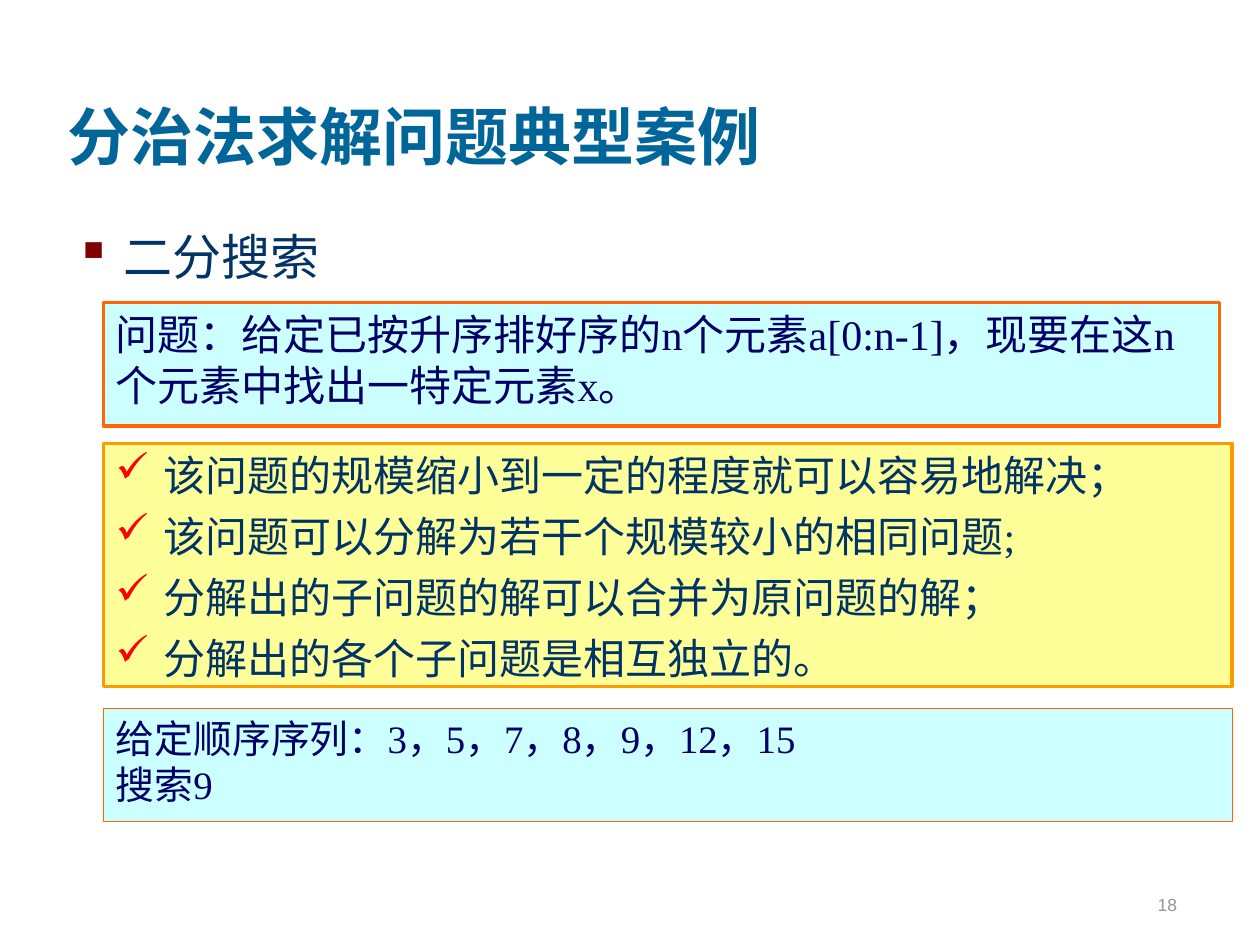
from lxml.etree import SubElement
from pptx import Presentation
from pptx.dml.color import RGBColor
from pptx.enum.shapes import MSO_SHAPE as Shape
from pptx.enum.text import MSO_ANCHOR as Anchor, PP_ALIGN as Align
from pptx.oxml.ns import qn
from pptx.util import Inches, Pt

COLORS = {
    "title": "006699", "body": "003366", "navy": "000066", "number": "969696",
    "marker": "800000", "check": "FF0000", "cyan": "CCFFFF", "yellow": "FFFF99",
    "orange": "FF6600", "amber": "FF9900",
}
SERIF = "Times New Roman"

presentation = Presentation()
presentation.slide_width, presentation.slide_height = Inches(10), Inches(7.5)
slide = presentation.slides.add_slide(presentation.slide_layouts[6])
column = presentation.slide_width / 100
row = presentation.slide_height / 75


def place(left, top, width, height):
    return [round(value) for value in (left * column, top * row, width * column, height * row)]


def write(shape, lines, size, color, font=SERIF, bold=False, anchor=Anchor.TOP,
          align=Align.LEFT, bullet=None, bullet_color=None, gap=0):
    frame = shape.text_frame
    frame.word_wrap = True
    frame.vertical_anchor = anchor
    frame.text = "\n".join(lines)
    for index, paragraph in enumerate(frame.paragraphs):
        paragraph.alignment = align
        paragraph.space_before = Pt(gap if index else 0)
        if bullet:
            properties = paragraph._p.get_or_add_pPr()
            properties.set("marL", str(Inches(0.38)))
            properties.set("indent", str(-Inches(0.38)))
            marker_color = SubElement(properties, qn("a:buClr"))
            SubElement(marker_color, qn("a:srgbClr"), val=COLORS[bullet_color])
            SubElement(properties, qn("a:buChar"), char=bullet)
        paragraph.font.name = font
        paragraph.font.size = Pt(size)
        paragraph.font.bold = bold
        paragraph.font.color.rgb = RGBColor.from_string(COLORS[color])


title = slide.shapes.add_textbox(*place(4.4, 1.7, 85, 12.5))
write(title, ["分治法求解问题典型案例"], 36, "title", bold=True, anchor=Anchor.BOTTOM)

topic = slide.shapes.add_textbox(*place(5, 17.5, 89.4, 48.8))
write(topic, ["二分搜索"], 28, "body", "TeX Gyre Pagella", bullet="▪", bullet_color="marker")

page_number = slide.shapes.add_textbox(*place(73.6, 68.1, 20.8, 5))
write(page_number, ["18"], 10, "number", "Arial", anchor=Anchor.BOTTOM, align=Align.RIGHT)

problem = ["问题：给定已按升序排好序的n个元素a[0:n-1]，现要在这n个元素中找出一特定元素x。"]
conditions = [
    "该问题的规模缩小到一定的程度就可以容易地解决；",
    "该问题可以分解为若干个规模较小的相同问题;",
    "分解出的子问题的解可以合并为原问题的解；",
    "分解出的各个子问题是相互独立的。",
]
example = ["给定顺序序列：3，5，7，8，9，12，15", "搜索9"]
checks = {"bullet": "✓", "bullet_color": "check", "gap": 6}

panels = [
    (24, 88.6, 9.8, "cyan", "orange", 2, problem, 24, "navy", {}),
    (35.2, 89.6, 19.3, "yellow", "amber", 2, conditions, 24, "body", checks),
    (56.2, 89.6, 9, "cyan", "orange", 0.5, example, 22.2, "navy", {}),
]
for top, width, height, fill, line, weight, lines, size, color, options in panels:
    panel = slide.shapes.add_shape(Shape.RECTANGLE, *place(8.2, top, width, height))
    panel.shadow.inherit = False
    panel.fill.solid()
    panel.fill.fore_color.rgb = RGBColor.from_string(COLORS[fill])
    panel.line.color.rgb = RGBColor.from_string(COLORS[line])
    panel.line.width = Pt(weight)
    write(panel, lines, size, color, **options)

presentation.save("out.pptx")
